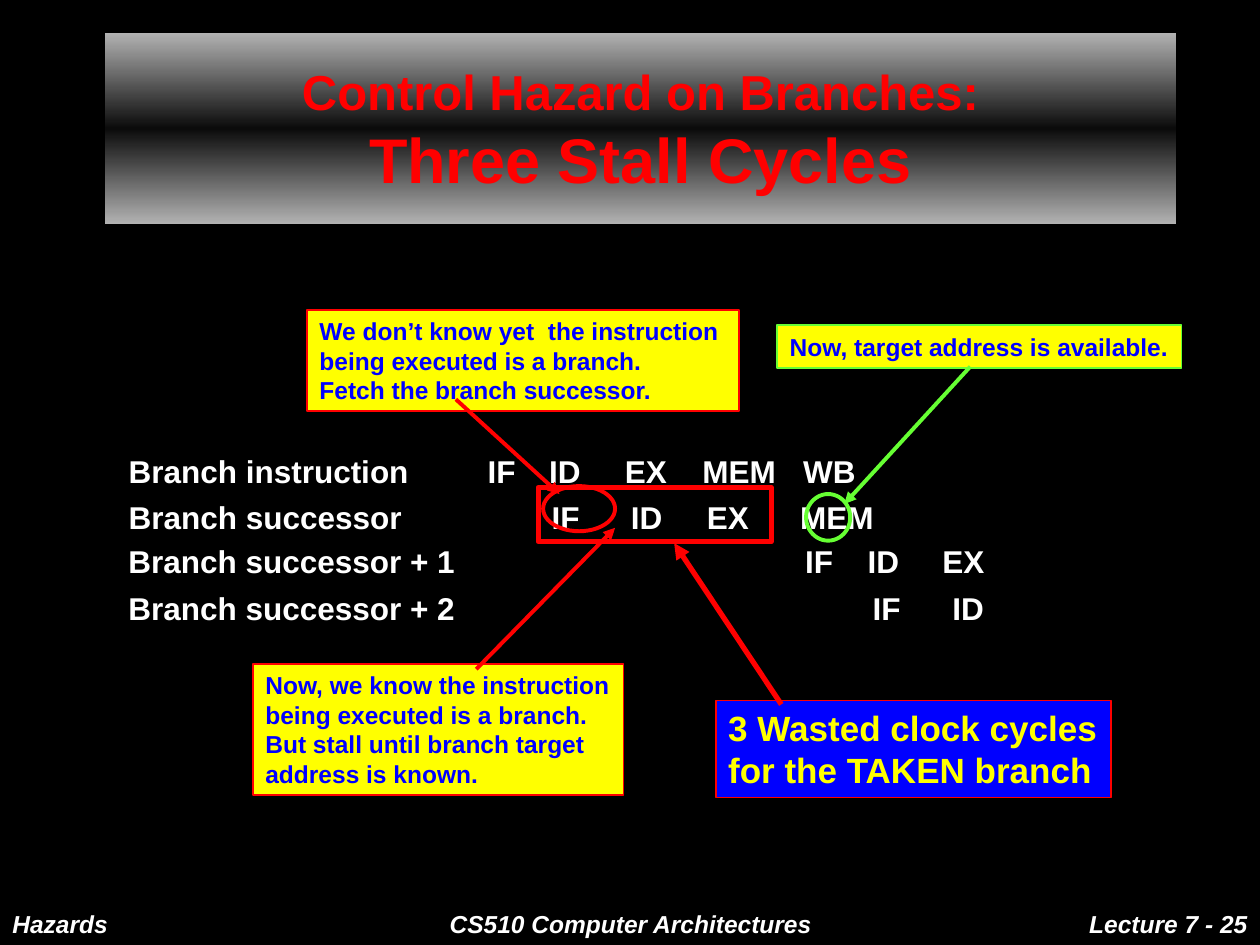
from dataclasses import dataclass
from typing import Any

import pptx
import pptx.dml.color
import pptx.enum.shapes
import pptx.enum.text
import pptx.oxml
import pptx.oxml.ns
import pptx.util

Cm = pptx.util.Cm
Pt = pptx.util.Pt
RGBColor = pptx.dml.color.RGBColor
Shapes = pptx.enum.shapes.MSO_SHAPE
Align = pptx.enum.text.PP_ALIGN
Anchor = pptx.enum.text.MSO_ANCHOR

BLACK = RGBColor(0, 0, 0)
WHITE = RGBColor(255, 255, 255)
RED = RGBColor(255, 0, 0)
BLUE = RGBColor(0, 0, 255)
YELLOW = RGBColor(255, 255, 0)
GREEN = RGBColor(0x66, 0xFF, 0x33)
SILVER = RGBColor(0xB2, 0xB2, 0xB2)
CHARCOAL = RGBColor(0x0B, 0x0B, 0x0B)

BOLD = {"name": "Arial", "bold": True}
FOOTER = BOLD | {"size": Pt(14), "italic": True}
NOTE = BOLD | {"size": Pt(14)}
STAGE = BOLD | {"size": Pt(18)}
COST = BOLD | {"size": Pt(20)}

ROW_PITCH = 0.93  # distance between pipeline rows in centimetres


@dataclass
class Box:
    """Left, top, width and height in centimetres."""
    left: float
    top: float
    width: float
    height: float

    def emu(self) -> list[int]:
        return [Cm(v) for v in (self.left, self.top, self.width, self.height)]


@dataclass
class Callout:
    box: Box
    lines: list[str]
    fill: RGBColor
    edge: RGBColor
    ink: RGBColor
    style: dict[str, Any]


@dataclass
class Outline:
    kind: Any
    box: Box
    color: RGBColor
    weight: float


@dataclass
class Arrow:
    start: tuple[float, float]
    end: tuple[float, float]
    color: RGBColor
    weight: float


@dataclass
class PipelineRow:
    name: str
    stages: list[tuple[str, float]]  # stage and its left edge in centimetres


def write(paragraph: Any, text: str, style: dict[str, Any], ink: RGBColor) -> None:
    run = paragraph.add_run()
    run.text = text
    for key, value in style.items():
        setattr(run.font, key, value)
    run.font.color.rgb = ink


def paragraphs(frame: Any, count: int) -> list[Any]:
    return [frame.paragraphs[0]] + [frame.add_paragraph() for _ in range(count - 1)]


def place(shape: Any, box: Box) -> None:
    shape.left, shape.top, shape.width, shape.height = box.emu()


def draw_text(slide: Any, box: Box, text: str, style: dict[str, Any], align: Any) -> None:
    frame = slide.shapes.add_textbox(*box.emu()).text_frame
    frame.word_wrap = True
    frame.paragraphs[0].alignment = align
    write(frame.paragraphs[0], text, style, WHITE)


def draw_pipeline(slide: Any, names: Any, box: Box, rows: list[PipelineRow]) -> None:
    place(names, box)
    frame = names.text_frame
    frame.word_wrap = True
    frame.auto_size = pptx.enum.text.MSO_AUTO_SIZE.NONE
    for index, (paragraph, row) in enumerate(zip(paragraphs(frame, len(rows)), rows)):
        paragraph.space_before = Pt(5 if index else 0)
        properties = paragraph._p.get_or_add_pPr()
        properties.set("marL", "0")
        properties.set("indent", "0")
        properties.append(properties.makeelement(pptx.oxml.ns.qn("a:buNone")))
        write(paragraph, row.name, STAGE, WHITE)
        for stage, left in row.stages:
            cell = Box(left, box.top + index * ROW_PITCH, 2.6, 1)
            draw_text(slide, cell, stage, STAGE, Align.LEFT)


def draw_callout(slide: Any, callout: Callout) -> None:
    shape = slide.shapes.add_shape(Shapes.RECTANGLE, *callout.box.emu())
    shape.shadow.inherit = False
    shape.fill.solid()
    shape.fill.fore_color.rgb = callout.fill
    shape.line.color.rgb = callout.edge
    shape.line.width = Pt(1)
    frame = shape.text_frame
    frame.word_wrap = False
    frame.vertical_anchor = Anchor.TOP
    for paragraph, line in zip(paragraphs(frame, len(callout.lines)), callout.lines):
        paragraph.alignment = Align.LEFT
        write(paragraph, line, callout.style, callout.ink)


def draw_outline(slide: Any, outline: Outline) -> None:
    shape = slide.shapes.add_shape(outline.kind, *outline.box.emu())
    shape.shadow.inherit = False
    shape.fill.background()
    shape.line.color.rgb = outline.color
    shape.line.width = Pt(outline.weight)


def draw_arrow(slide: Any, arrow: Arrow) -> None:
    ends = [Cm(v) for v in arrow.start + arrow.end]
    line = slide.shapes.add_connector(pptx.enum.shapes.MSO_CONNECTOR.STRAIGHT, *ends)
    line.line.color.rgb = arrow.color
    line.line.width = Pt(arrow.weight)
    properties = line._element.spPr
    edge = properties.find(pptx.oxml.ns.qn("a:ln"))
    edge.append(edge.makeelement(pptx.oxml.ns.qn("a:tailEnd"), {"type": "triangle"}))
    properties.append(properties.makeelement(pptx.oxml.ns.qn("a:effectLst")))


def write_title(title: Any) -> None:
    place(title, Box(2.11, 0.66, 21.6, 3.86))
    title.fill.gradient()
    title.fill.gradient_angle = 270
    stops = title._element.spPr.find(".//" + pptx.oxml.ns.qn("a:gsLst"))
    for stop in list(stops):
        stops.remove(stop)
    for position, color in ((0, SILVER), (50000, CHARCOAL), (100000, SILVER)):
        stops.append(pptx.oxml.parse_xml(
            f'<a:gs {pptx.oxml.ns.nsdecls("a")} pos="{position}">'
            f'<a:srgbClr val="{color}"/></a:gs>'))
    frame = title.text_frame
    frame.auto_size = pptx.enum.text.MSO_AUTO_SIZE.NONE
    frame.vertical_anchor = Anchor.MIDDLE
    heading = frame.paragraphs[0]
    heading.alignment = Align.CENTER
    write(heading, "Control Hazard on Branches:", BOLD | {"size": Pt(28)}, RED)
    heading.add_line_break()
    write(heading, "Three Stall Cycles", BOLD | {"size": Pt(36)}, RED)


BRANCH_ROWS = [
    PipelineRow("Branch instruction", [("IF", 9.58), ("ID", 10.82), ("EX", 12.35),
                                       ("MEM", 13.91), ("WB", 15.94)]),
    PipelineRow("Branch successor", [("IF", 10.87), ("ID", 12.47), ("EX", 14),
                                     ("MEM", 15.88)]),
]
LATER_ROWS = [
    PipelineRow("Branch successor + 1", [("IF", 15.98), ("ID", 17.24), ("EX", 18.75)]),
    PipelineRow("Branch successor + 2", [("IF", 17.34), ("ID", 18.95)]),
]
FOOTERS = [
    (Box(0, 18.21, 5.28, 0.84), "Hazards", Align.LEFT),
    (Box(8.69, 18.21, 8.05, 0.84), "CS510 Computer Architectures", Align.CENTER),
    (Box(20.12, 18.21, 5.28, 0.84), "Lecture 7 - 25", Align.RIGHT),
]
# Marks in drawing order, back to front
MARKS = [
    Outline(Shapes.RECTANGLE, Box(10.85, 9.83, 4.7, 1.09), RED, 3),
    Callout(Box(14.43, 14.12, 7.97, 1.96),
            ["3 Wasted clock cycles", "for the TAKEN branch"], BLUE, RED, YELLOW, COST),
    Arrow((15.75, 14.2), (13.59, 10.95), RED, 3),
    Callout(Box(5.1, 13.39, 7.47, 2.64),
            ["Now, we know the instruction", "being executed is a branch.",
             "But stall until branch target", "address is known."], YELLOW, RED, BLUE, NOTE),
    Arrow((9.6, 13.49), (12.4, 10.64), RED, 2.25),
    Callout(Box(15.67, 6.56, 8.15, 0.86),
            ["Now, target address is available."], YELLOW, GREEN, BLUE, NOTE),
    Arrow((19.56, 7.39), (17.02, 10.16), GREEN, 2.25),
    Outline(Shapes.OVAL, Box(16.25, 9.96, 0.89, 0.94), GREEN, 2.25),
    Callout(Box(6.19, 6.25, 8.71, 2.03),
            ["We don’t know yet  the instruction", "being executed is a branch.",
             "Fetch the branch successor."], YELLOW, RED, BLUE, NOTE),
    Arrow((9.19, 8.05), (11.28, 9.96), RED, 2.25),
    Outline(Shapes.OVAL, Box(10.95, 9.8, 1.45, 0.91), RED, 2.25),
]
DRAW = {Outline: draw_outline, Callout: draw_callout, Arrow: draw_arrow}


def main() -> None:
    deck = pptx.Presentation()
    deck.slide_width, deck.slide_height = Cm(25.4), Cm(19.05)
    slide = deck.slides.add_slide(deck.slide_layouts[1])
    slide.background.fill.solid()
    slide.background.fill.fore_color.rgb = BLACK

    # Title, footer and first pipeline rows
    write_title(slide.shapes.title)
    for box, text, align in FOOTERS:
        draw_text(slide, box, text, FOOTER, align)
    draw_pipeline(slide, slide.placeholders[1], Box(2.34, 8.98, 7.2, 2.03), BRANCH_ROWS)

    # Callouts, arrows and outlines, then the later rows
    for mark in MARKS:
        DRAW[type(mark)](slide, mark)
    later = Box(2.34, 10.81, 7.2, 2.03)
    draw_pipeline(slide, slide.shapes.add_textbox(*later.emu()), later, LATER_ROWS)

    deck.save("out.pptx")


if __name__ == "__main__":
    main()
